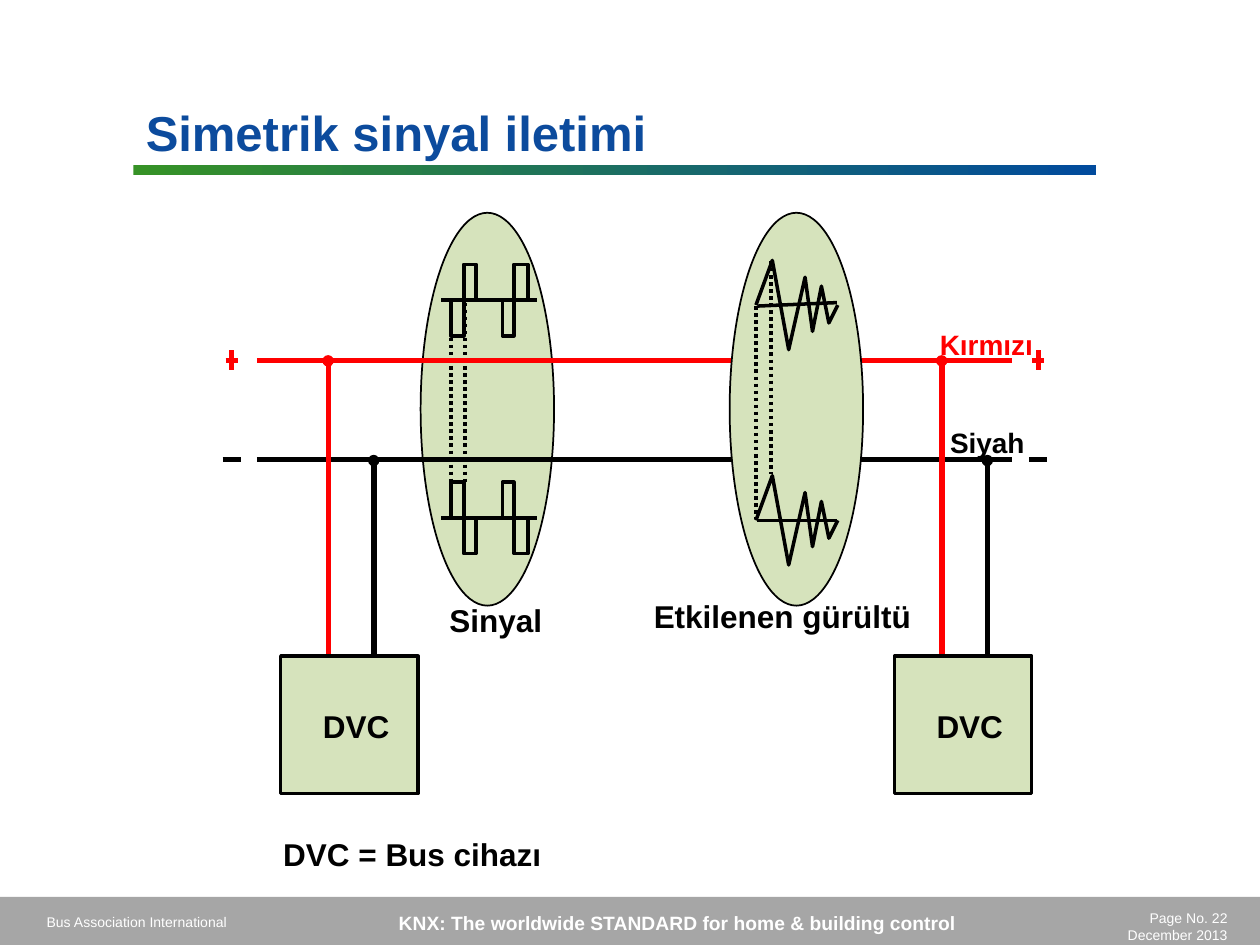
"""Build the slide on symmetrical signal transmission over a bus line."""
from dataclasses import dataclass

from lxml import etree
from pptx import Presentation
from pptx.dml.color import RGBColor
from pptx.enum.dml import MSO_LINE
from pptx.enum.shapes import MSO_CONNECTOR, MSO_SHAPE
from pptx.enum.text import MSO_ANCHOR, PP_ALIGN
from pptx.oxml.ns import qn
from pptx.util import Cm, Pt

STRAIGHT = MSO_CONNECTOR.STRAIGHT
RECTANGLE, OVAL = MSO_SHAPE.RECTANGLE, MSO_SHAPE.OVAL
DOTTED = MSO_LINE.ROUND_DOT
LEFT, CENTER, RIGHT = PP_ALIGN.LEFT, PP_ALIGN.CENTER, PP_ALIGN.RIGHT
TOP, MIDDLE = MSO_ANCHOR.TOP, MSO_ANCHOR.MIDDLE

BLACK = RGBColor(0x00, 0x00, 0x00)
WHITE = RGBColor(0xFF, 0xFF, 0xFF)
RED = RGBColor(0xFF, 0x00, 0x00)
SIGN_RED = RGBColor(0xFF, 0x01, 0x01)
PALE_GREEN = RGBColor(0xD6, 0xE3, 0xBC)
GRAY = RGBColor(0xA6, 0xA6, 0xA6)
TITLE_BLUE = RGBColor(0x0C, 0x4B, 0x9D)
BAR_GREEN = RGBColor(0x36, 0x92, 0x26)
BAR_BLUE = RGBColor(0x01, 0x4B, 0x9D)

RED_Y, BLACK_Y = 7.26, 9.27
DEVICE_TOP, DEVICE_SIZE = 13.23, 2.77
PULSE_HEIGHT = 0.72
PULSE_STEPS = ((9.09, 1), (9.35, -1), (9.6, 0), (10.13, 1), (10.36, -1), (10.64, 0))
NOISE_PEAKS = ((15.24, 0), (15.57, -0.9), (15.9, 0.9), (16.23, -0.56),
               (16.38, 0.53), (16.56, -0.38), (16.71, 0.36), (16.89, 0))


@dataclass(frozen=True)
class Label:
    text: str
    left: float
    top: float
    width: float
    height: float
    size: float = 18
    color: RGBColor = BLACK
    align: PP_ALIGN = LEFT
    bold: bool = True
    wrap: bool = False
    anchor: MSO_ANCHOR = TOP


@dataclass(frozen=True)
class Stroke:
    x1: float
    y1: float
    x2: float
    y2: float
    color: RGBColor = BLACK
    width: float = 2
    dash: MSO_LINE | None = None


@dataclass(frozen=True)
class Tap:
    offset: float
    wire_y: float
    color: RGBColor


LABELS = (
    Label("KNX: The worldwide STANDARD for home & building control",
          4.45, 18.24, 18.42, 0.74, 11, WHITE, CENTER, wrap=True),
    Label("Bus Association International", 0.69, 18.29, 5.79, 0.61, 8, WHITE,
          bold=False, wrap=True),
    Label("Page No. 22\nDecember 2013", 22.1, 18.21, 2.9, 0.94, 8, WHITE, RIGHT,
          bold=False, wrap=True),
    Label("Simetrik sinyal iletimi", 2.69, 1.93, 17.73, 1.45, 28, TITLE_BLUE,
          wrap=True, anchor=MIDDLE),
    Label("Sinyal", 8.81, 11.99, 2.39, 1.02),
    Label("Etkilenen gürültü", 12.93, 11.91, 5.69, 1.02),
    Label("Kırmızı", 18.69, 6.48, 2.39, 0.91, 16, RED, CENTER),
    Label("Siyah", 18.9, 8.46, 2.01, 0.91, 16, BLACK, CENTER),
    Label("DVC = Bus cihazı", 5.46, 16.71, 5.72, 1.02),
)
SIGNAL_STROKES = (
    Stroke(8.89, 6.05, 10.82, 6.05),
    Stroke(8.89, 10.44, 10.82, 10.44),
    Stroke(9.09, 6.1, 9.09, 10.36, dash=DOTTED),
    Stroke(9.37, 6.1, 9.37, 9.73, dash=DOTTED),
)
WIRES = (
    Stroke(5.18, RED_Y, 20.4, RED_Y, RED, 3),
    Stroke(5.18, BLACK_Y, 20.4, BLACK_Y, BLACK, 3),
)
NOISE_STROKES = (
    Stroke(15.27, 6.17, 16.87, 6.1),
    Stroke(15.27, 10.49, 16.87, 10.49),
    Stroke(15.24, 6.17, 15.24, 10.46, dash=DOTTED),
    Stroke(15.54, 5.26, 15.54, 9.55, dash=DOTTED),
)
TAPS = (Tap(0.96, RED_Y, RED), Tap(1.88, BLACK_Y, BLACK))


def apply_format(target: object, formats: dict) -> None:
    for attribute, value in formats.items():
        setattr(target, attribute, value)


def draw_label(shapes, label: Label) -> None:
    frame = shapes.add_textbox(Cm(label.left), Cm(label.top),
                               Cm(label.width), Cm(label.height)).text_frame
    apply_format(frame, {"text": label.text, "word_wrap": label.wrap,
                         "vertical_anchor": label.anchor})
    for paragraph in frame.paragraphs:
        paragraph.alignment = label.align
        apply_format(paragraph.font, {"name": "Arial", "size": Pt(label.size),
                                      "bold": label.bold})
        paragraph.font.color.rgb = label.color


def draw_stroke(shapes, stroke: Stroke) -> None:
    connector = shapes.add_connector(STRAIGHT, Cm(stroke.x1), Cm(stroke.y1),
                                     Cm(stroke.x2), Cm(stroke.y2))
    connector.line.color.rgb = stroke.color
    apply_format(connector.line, {"width": Pt(stroke.width), "dash_style": stroke.dash})
    etree.SubElement(connector._element.spPr, qn("a:effectLst"))


def draw_block(shapes, preset: MSO_SHAPE, left: float, top: float, width: float,
               height: float, fill: RGBColor, outline: float = 0):
    block = shapes.add_shape(preset, Cm(left), Cm(top), Cm(width), Cm(height))
    block.shadow.inherit = False
    block.fill.solid()
    block.fill.fore_color.rgb = fill
    if outline:
        block.line.color.rgb = BLACK
        block.line.width = Pt(outline)
    else:
        block.line.fill.background()
    return block


def draw_waveform(shapes, points: list[tuple[float, float]]) -> None:
    start, *rest = [(Cm(x), Cm(y)) for x, y in points]
    builder = shapes.build_freeform(*start)
    builder.add_line_segments(rest, close=False)
    waveform = builder.convert_to_shape()
    waveform.shadow.inherit = False
    waveform.fill.background()
    waveform.line.color.rgb = BLACK
    waveform.line.width = Pt(2)


def pulse_points(base: float, direction: int) -> list[tuple[float, float]]:
    points, level = [], 0
    for x, next_level in PULSE_STEPS:
        points += [(x, base + direction * PULSE_HEIGHT * step)
                   for step in (level, next_level)]
        level = next_level
    return points


def draw_device(shapes, left: float) -> None:
    for tap in TAPS:
        x = left + tap.offset
        draw_stroke(shapes, Stroke(x, tap.wire_y, x, DEVICE_TOP, tap.color, 3))
        draw_block(shapes, OVAL, x - 0.12, tap.wire_y - 0.1, 0.23, 0.23, tap.color)
    draw_block(shapes, RECTANGLE, left, DEVICE_TOP, DEVICE_SIZE, DEVICE_SIZE, PALE_GREEN, 2)
    draw_label(shapes, Label("DVC", left + 0.6, 14.12, 1.85, 1.02))


def draw_polarity(shapes, x: float) -> None:
    draw_stroke(shapes, Stroke(x - 0.18, BLACK_Y, x + 0.18, BLACK_Y, BLACK, 3))
    draw_stroke(shapes, Stroke(x - 0.12, RED_Y, x + 0.12, RED_Y, SIGN_RED, 3))
    draw_stroke(shapes, Stroke(x, RED_Y - 0.2, x, RED_Y + 0.2, SIGN_RED, 3))


def main() -> None:
    deck = Presentation()
    apply_format(deck, {"slide_width": Cm(25.4), "slide_height": Cm(19.05)})
    shapes = deck.slides.add_slide(deck.slide_layouts[6]).shapes

    draw_block(shapes, RECTANGLE, 0, 18.08, 25.4, 0.97, GRAY)
    title_bar = draw_block(shapes, RECTANGLE, 2.69, 3.33, 19.41, 0.2, BAR_GREEN)
    title_bar.fill.gradient()
    title_bar.fill.gradient_angle = 0
    for stop, color in zip(title_bar.fill.gradient_stops, (BAR_GREEN, BAR_BLUE)):
        stop.color.rgb = color

    draw_block(shapes, OVAL, 8.48, 4.29, 2.69, 7.92, PALE_GREEN, 1)
    for base, direction in ((6.05, 1), (10.44, -1)):
        draw_waveform(shapes, pulse_points(base, direction))
    for stroke in SIGNAL_STROKES + WIRES:
        draw_stroke(shapes, stroke)
    for device_left in (5.66, 18.03):
        draw_device(shapes, device_left)
    for sign_x in (4.67, 20.93):
        draw_polarity(shapes, sign_x)

    draw_block(shapes, OVAL, 14.71, 4.29, 2.69, 7.92, PALE_GREEN, 1)
    for base in (6.15, 10.49):
        draw_waveform(shapes, [(x, base + peak) for x, peak in NOISE_PEAKS])
    for stroke in NOISE_STROKES:
        draw_stroke(shapes, stroke)
    for label in LABELS:
        draw_label(shapes, label)
    deck.save("out.pptx")


if __name__ == "__main__":
    main()
